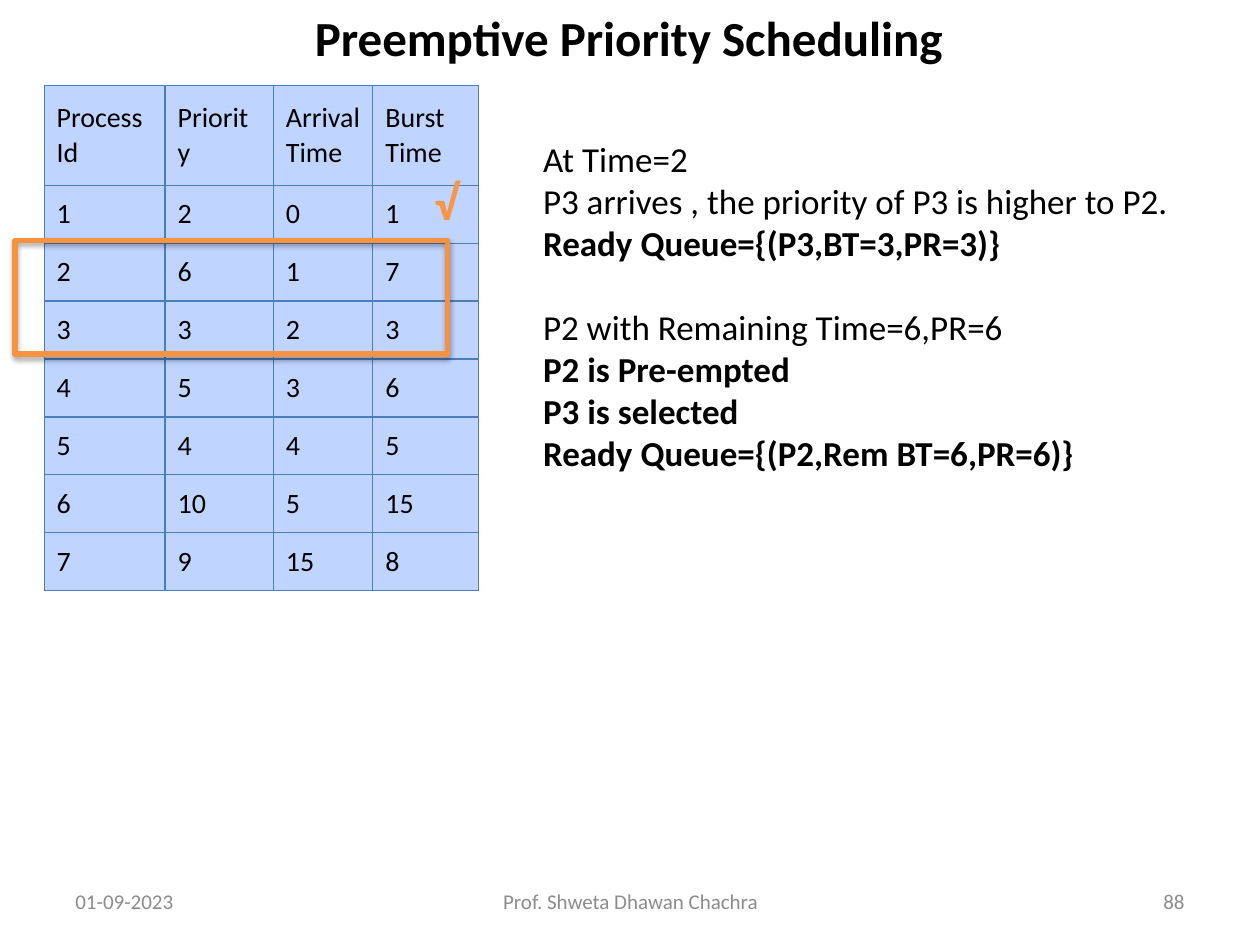
from dataclasses import dataclass

from lxml.etree import SubElement
from pptx import Presentation
from pptx.dml.color import RGBColor
from pptx.enum.shapes import MSO_SHAPE
from pptx.enum.text import MSO_ANCHOR, MSO_AUTO_SIZE, PP_ALIGN
from pptx.oxml import parse_xml
from pptx.oxml.ns import nsdecls, qn
from pptx.util import Inches, Pt


@dataclass(frozen=True)
class Theme:
    font: str = "Calibri"
    ink: str = "000000"
    muted: str = "8C8C8C"
    cell: str = "BFD4FF"
    grid: str = "4B7EBC"
    frame: str = "F69240"
    tick: str = "F79646"
    title: int = 28
    body: int = 20
    table: int = 16
    foot: int = 12


class Deck:
    def __init__(self, theme):
        self.theme = theme
        self.file = Presentation()
        self.file.slide_width = Inches(10)
        self.file.slide_height = Inches(7.5)
        self.slide = self.file.slides.add_slide(self.file.slide_layouts[1])

    def place(self, shape, box):
        for name, value in zip(("left", "top", "width", "height"), box):
            setattr(shape, name, Inches(value))

    def frame(self, shape, **extra):
        form = {"word_wrap": True, "auto_size": MSO_AUTO_SIZE.NONE,
                "vertical_anchor": MSO_ANCHOR.MIDDLE, **extra}
        for name, value in form.items():
            setattr(shape.text_frame, name, value)

    def style(self, para, text, size, color=None, bold=False, align=PP_ALIGN.LEFT):
        para.alignment = align
        run = para.add_run()
        run.text = text
        form = {"name": self.theme.font, "size": Pt(size), "bold": bold}
        for name, value in form.items():
            setattr(run.font, name, value)
        run.font.color.rgb = RGBColor.from_string(color or self.theme.ink)

    def title(self, text, box):
        shape = self.slide.shapes.title
        self.place(shape, box)
        self.frame(shape)
        self.style(shape.text_frame.paragraphs[0], text, self.theme.title,
                   bold=True, align=PP_ALIGN.CENTER)

    def body(self, lines, box):
        """Fill the body with (text, bold, space before) lines."""
        shape = self.slide.placeholders[1]
        self.place(shape, box)
        self.frame(shape, vertical_anchor=MSO_ANCHOR.TOP)
        for i, (text, bold, gap) in enumerate(lines):
            text_frame = shape.text_frame
            para = text_frame.add_paragraph() if i else text_frame.paragraphs[0]
            self.style(para, text, self.theme.body, bold=bold)
            para.space_before = Pt(gap)
            props = para._p.get_or_add_pPr()
            props.set("marL", "0")
            props.set("indent", "0")
            SubElement(props, qn("a:buNone"))

    def label(self, text, box, size, color, **look):
        shape = self.slide.shapes.add_textbox(*map(Inches, box))
        self.frame(shape)
        self.style(shape.text_frame.paragraphs[0], text, size, color, **look)
        return shape

    def border(self, cell):
        props = cell._tc.get_or_add_tcPr()
        for i, side in enumerate(("lnL", "lnR", "lnT", "lnB")):
            line = parse_xml(
                f'<a:{side} {nsdecls("a")} w="{Pt(0.75)}"><a:solidFill>'
                f'<a:srgbClr val="{self.theme.grid}"/></a:solidFill></a:{side}>')
            props.insert(i, line)

    def table(self, rows, spot, widths, heights):
        size = (sum(widths), sum(heights))
        grid = self.slide.shapes.add_table(
            len(rows), len(widths), *map(Inches, spot + size)).table
        grid.first_row = grid.horz_banding = False
        for col, width in zip(grid.columns, widths):
            col.width = Inches(width)
        for row, height, values in zip(grid.rows, heights, rows):
            row.height = Inches(height)
            for cell, value in zip(row.cells, values):
                cell.vertical_anchor = MSO_ANCHOR.MIDDLE
                cell.fill.solid()
                cell.fill.fore_color.rgb = RGBColor.from_string(self.theme.cell)
                self.border(cell)
                self.style(cell.text_frame.paragraphs[0], str(value), self.theme.table)

    def outline(self, box):
        shape = self.slide.shapes.add_shape(MSO_SHAPE.RECTANGLE, *map(Inches, box))
        shape.fill.background()
        shape.line.color.rgb = RGBColor.from_string(self.theme.frame)
        shape.line.width = Pt(3)
        # Soft shadow straight down
        shape._element.spPr.append(parse_xml(
            f'<a:effectLst {nsdecls("a")}><a:outerShdw blurRad="{Pt(3.1)}" '
            f'dist="{Pt(1.8)}" dir="5400000" rotWithShape="0">'
            '<a:srgbClr val="000000"><a:alpha val="35000"/></a:srgbClr>'
            '</a:outerShdw></a:effectLst>'))


def main():
    theme = Theme()
    deck = Deck(theme)

    # Title and explanation
    deck.title("Preemptive Priority Scheduling", (0.49, -0.02, 9, 0.63))
    deck.body([
        ("At Time=2", False, 0),
        ("P3 arrives , the priority of P3 is higher to P2.", False, 0),
        ("Ready Queue={(P3,BT=3,PR=3)}", True, 0),
        ("P2 with Remaining Time=6,PR=6", False, 24),
        ("P2 is Pre-empted", True, 0),
        ("P3 is selected", True, 0),
        ("Ready Queue={(P2,Rem BT=6,PR=6)}", True, 0),
    ], (4.21, 1.04, 5.51, 3.13))

    # Process table
    jobs = [
        ("Process Id", "Priority", "Arrival Time", "Burst Time"),
        (1, 2, 0, 1),
        (2, 6, 1, 7),
        (3, 3, 2, 3),
        (4, 5, 3, 6),
        (5, 4, 4, 5),
        (6, 10, 5, 15),
        (7, 9, 15, 8),
    ]
    deck.table(jobs, (0.35, 0.68), (0.96, 0.86, 0.79, 0.84), (0.79,) + (0.46,) * 7)

    # Footer
    for text, left, width, align in (
            ("01-09-2023", 0.5, 2.33, PP_ALIGN.LEFT),
            ("Prof. Shweta Dhawan Chachra", 3.42, 3.17, PP_ALIGN.CENTER),
            ("88", 7.17, 2.33, PP_ALIGN.RIGHT)):
        deck.label(text, (left, 6.95, width, 0.4), theme.foot, theme.muted, align=align)

    # Marks for the waiting and finished processes
    deck.outline((0.12, 1.91, 3.43, 0.9))
    tick = deck.label("√", (3.35, 1.31, 0.4, 0.57), theme.title, theme.tick, bold=True)
    deck.frame(tick, word_wrap=False, vertical_anchor=MSO_ANCHOR.TOP)

    deck.file.save("out.pptx")


if __name__ == "__main__":
    main()
